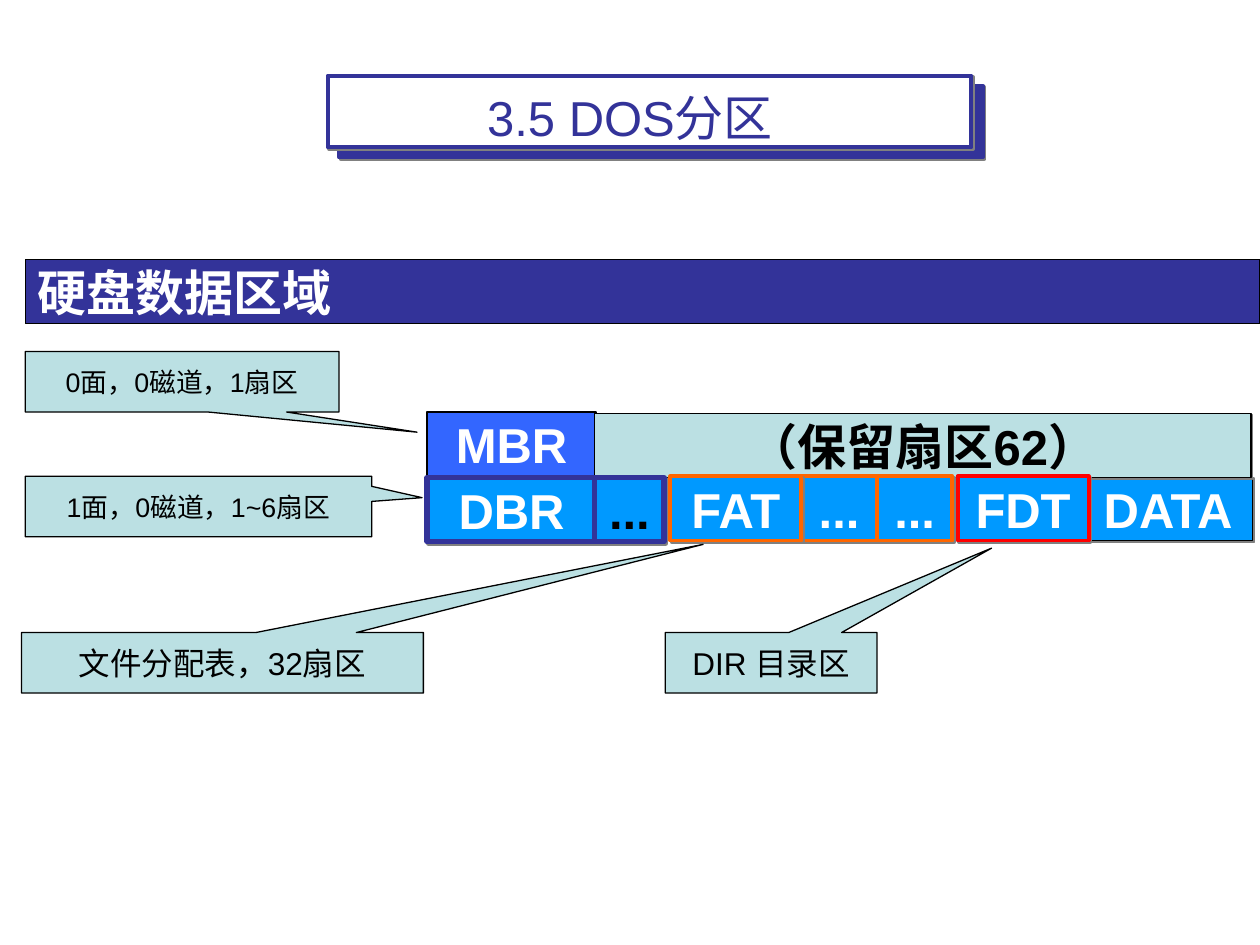
from lxml import etree
from pptx import Presentation
from pptx.dml.color import RGBColor
from pptx.enum import shapes, text
from pptx.oxml import ns
from pptx.util import Inches, Pt

NAVY, AZURE, PALE = "333399", "0099FF", "BBE0E3"
WHITE, BLACK, ORANGE, RED = "FFFFFF", "000000", "FF6600", "FF0000"
CELL_HEIGHT, CALLOUT_HEIGHT = 0.51, 0.48

TITLE = "3.5 DOS分区"
HEADING = "硬盘数据区域"
TITLE_FRAMES = [(2.69, 0.68, NAVY), (2.6, 0.6, WHITE)]

# label, left, top, width, fill, border, border width, text colour
SECTORS = [
    ("MBR", 3.39, 3.27, 1.34, "3366FF", BLACK, 0.75, WHITE),
    ("DBR", 3.39, 3.79, 1.34, AZURE, NAVY, 3, WHITE),
    ("DATA", 8.6, 3.78, 1.34, AZURE, BLACK, 0.75, WHITE),
    ("（保留扇区62）", 4.72, 3.28, 5.21, PALE, BLACK, 0.75, BLACK),
    ("...", 4.72, 3.79, 0.55, AZURE, NAVY, 3, BLACK),
    ("...", 6.36, 3.78, 0.6, AZURE, ORANGE, 2.25, WHITE),
    ("FDT", 7.6, 3.78, 1.04, AZURE, RED, 2.25, WHITE),
    ("...", 6.96, 3.78, 0.6, AZURE, ORANGE, 2.25, WHITE),
    ("FAT", 5.32, 3.78, 1.04, AZURE, ORANGE, 2.25, WHITE),
]

# note, left, top, width, text size, pointer tip
CALLOUTS = [
    ("0面，0磁道，1扇区", 0.2, 2.79, 2.49, 15.3, (3.31, 3.43)),
    ("1面，0磁道，1~6扇区", 0.2, 3.78, 2.75, 15.3, (3.35, 3.95)),
    ("文件分配表，32扇区", 0.17, 5.02, 3.19, 18, (5.58, 4.32)),
    ("DIR 目录区", 5.28, 5.02, 1.68, 18, (7.87, 4.35)),
]


def rgb(value):
    return RGBColor.from_string(value)


def write(shape, words, size, color, bold=False, centred=True, wrap=True):
    frame = shape.text_frame
    frame.word_wrap = wrap
    frame.vertical_anchor = text.MSO_ANCHOR.MIDDLE
    paragraph = frame.paragraphs[0]
    paragraph.alignment = text.PP_ALIGN.CENTER if centred else text.PP_ALIGN.LEFT
    run = paragraph.add_run()
    run.text = words
    for name, value in {"name": "Arial", "size": Pt(size), "bold": bold}.items():
        setattr(run.font, name, value)
    run.font.color.rgb = rgb(color)


def add_box(slide, box, fill, border, border_width=0.75, shadow=False,
            kind=shapes.MSO_SHAPE.RECTANGLE):
    shape = slide.shapes.add_shape(kind, *map(Inches, box))
    shape.shadow.inherit = False
    shape.fill.solid()
    shape.fill.fore_color.rgb = rgb(fill)
    shape.line.color.rgb = rgb(border)
    shape.line.width = Pt(border_width)
    if shadow:
        effects = shape._element.spPr.find(ns.qn("a:effectLst"))
        outer = etree.SubElement(effects, ns.qn("a:outerShdw"), dist=str(Pt(1.4)),
                                 dir="2700000", algn="ctr", rotWithShape="0")
        etree.SubElement(outer, ns.qn("a:srgbClr"), val="808080")
    return shape


def add_callout(slide, note, left, top, width, size, tip):
    callout = add_box(slide, (left, top, width, CALLOUT_HEIGHT), PALE, BLACK,
                      kind=shapes.MSO_SHAPE.RECTANGULAR_CALLOUT)
    callout.adjustments[0] = (tip[0] - left) / width - 0.5
    callout.adjustments[1] = (tip[1] - top) / CALLOUT_HEIGHT - 0.5
    write(callout, note, size, BLACK)


def main():
    deck = Presentation()
    deck.slide_width, deck.slide_height = Inches(10), Inches(7.5)
    slide = deck.slides.add_slide(deck.slide_layouts[6])

    for left, top, fill in TITLE_FRAMES:
        add_box(slide, (left, top, 5.11, 0.57), fill, NAVY, 2.25, shadow=True)
    title = slide.shapes.add_textbox(*map(Inches, (0.5, 0.3, 9, 1.25)))
    write(title, TITLE, 28, NAVY)

    heading = add_box(slide, (0.2, 2.06, 9.8, CELL_HEIGHT), NAVY, BLACK)
    write(heading, HEADING, 28, WHITE, bold=True, centred=False, wrap=False)

    for label, left, top, width, fill, border, border_width, color in SECTORS:
        sector = add_box(slide, (left, top, width, CELL_HEIGHT), fill, border,
                         border_width, shadow=True)
        write(sector, label, 28, color, bold=True, wrap=False)

    for callout in CALLOUTS:
        add_callout(slide, *callout)

    deck.save("out.pptx")


if __name__ == "__main__":
    main()
